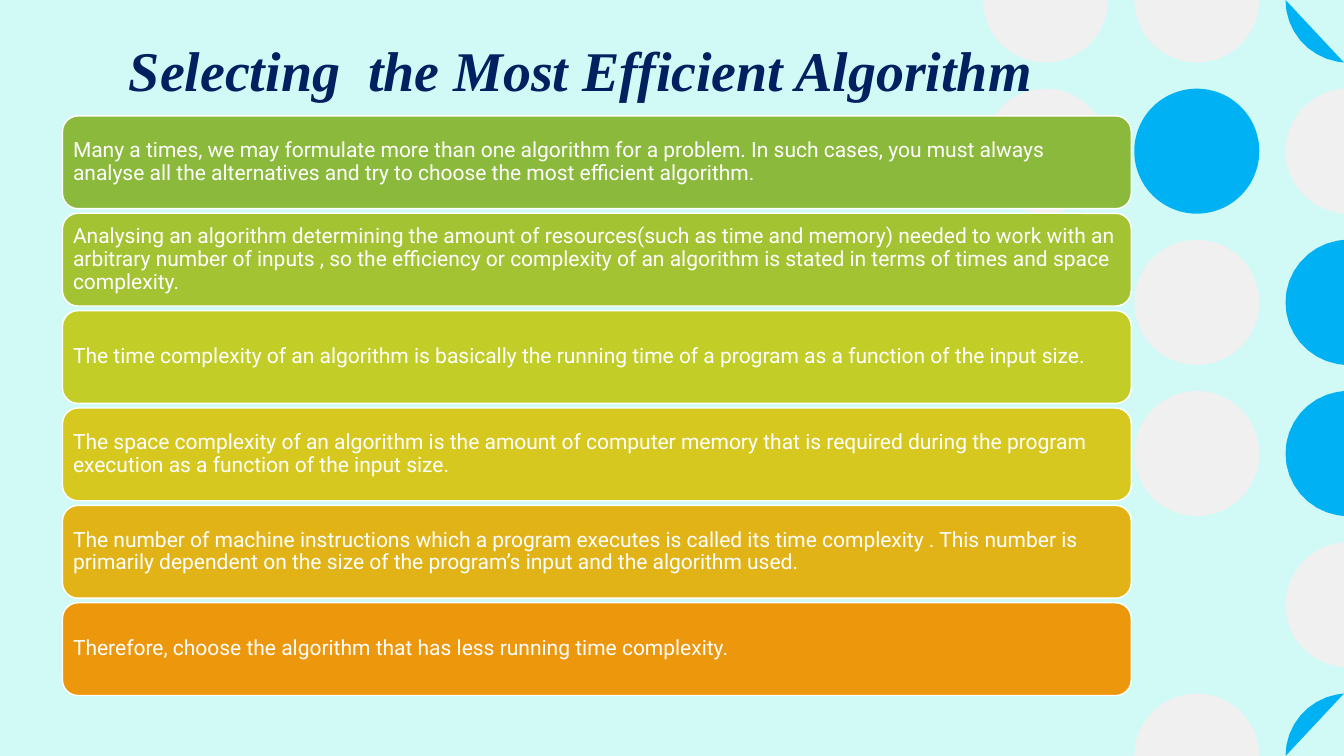
from math import cos, radians, sin

from pptx import Presentation
from pptx.dml.color import RGBColor
from pptx.enum import shapes, text
from pptx.util import Inches, Pt

WIDTH, HEIGHT = 13.33, 7.5
MINT = RGBColor(0xD1, 0xFA, 0xF6)
GREY = RGBColor(0xEF, 0xF0, 0xEF)
BLUE = RGBColor(0x00, 0xB2, 0xF3)
NAVY = RGBColor(0x00, 0x20, 0x60)
WHITE = RGBColor(0xFF, 0xFF, 0xFF)
GREEN = RGBColor(0x8B, 0xB9, 0x3B)
LIME = RGBColor(0xA4, 0xC3, 0x32)
PEAR = RGBColor(0xC2, 0xCD, 0x28)
GOLD = RGBColor(0xD7, 0xC8, 0x1F)
AMBER = RGBColor(0xE2, 0xB3, 0x16)
ORANGE = RGBColor(0xEC, 0x97, 0x0C)


def write(shape, words, font, size, color, inset, bold=False, italic=False):
    frame = shape.text_frame
    frame.word_wrap = True
    frame.vertical_anchor = text.MSO_ANCHOR.MIDDLE
    frame.margin_left = frame.margin_right = Inches(inset)
    frame.margin_top = frame.margin_bottom = Inches(inset)
    para = frame.paragraphs[0]
    para.alignment = text.PP_ALIGN.LEFT
    para.line_spacing = 0.9
    run = para.add_run()
    run.text = words
    run.font.name = font
    run.font.size = Pt(size)
    run.font.color.rgb = color
    run.font.bold = bold
    run.font.italic = italic


def add_dot(slide, x, y, r, color):
    """Draw a circle around (x, y), cut off at the slide's edges."""
    if r <= x <= WIDTH - r and r <= y <= HEIGHT - r:
        dot = slide.shapes.add_shape(
            shapes.MSO_SHAPE.OVAL, Inches(x - r), Inches(y - r),
            Inches(2 * r), Inches(2 * r))
    else:
        rim = []
        for deg in range(0, 360, 10):
            px = min(x + r * cos(radians(deg)), WIDTH)
            py = min(max(y + r * sin(radians(deg)), 0), HEIGHT)
            rim.append((Inches(round(px, 3)), Inches(round(py, 3))))
        # Along a straight cut only the two ends are needed
        bends = [b for a, b, c in zip(rim[-1:] + rim, rim, rim[1:] + rim[:1])
                 if not (a[0] == b[0] == c[0] or a[1] == b[1] == c[1])]
        path = slide.shapes.build_freeform(*bends[0])
        path.add_line_segments(bends[1:], close=True)
        dot = path.convert_to_shape()
    dot.shadow.inherit = False
    dot.fill.solid()
    dot.fill.fore_color.rgb = color
    dot.line.fill.background()


deck = Presentation()
deck.slide_width, deck.slide_height = Inches(WIDTH), Inches(HEIGHT)
slide = deck.slides.add_slide(deck.slide_layouts[6])
slide.background.fill.solid()
slide.background.fill.fore_color.rgb = MINT

# Dot columns from left to right, rows from the top; None leaves a gap
columns = [
    [GREY, GREY],
    [GREY, BLUE, GREY, GREY, None, GREY],
    [BLUE, GREY, BLUE, BLUE, GREY, BLUE],
]
step = 1.5
for col, dots in enumerate(columns):
    for row, color in enumerate(dots):
        if color is not None:
            add_dot(slide, 10.37 + col * step, row * step, 0.62, color)

title = slide.shapes.add_textbox(
    Inches(1.18), Inches(0.25), Inches(9.79), Inches(0.95))
write(title, "Selecting  the Most Efficient Algorithm", "Times New Roman", 40,
      NAVY, 0.1, bold=True, italic=True)

points = [
    (GREEN, "Many a times, we may formulate more than one algorithm for a "
     "problem. In such cases, you must always analyse all the alternatives "
     "and try to choose the most efficient algorithm."),
    (LIME, "Analysing an algorithm determining the amount of resources(such "
     "as time and memory) needed to work with an arbitrary number of inputs "
     ", so the efficiency or complexity of an algorithm is stated in terms "
     "of times and space complexity."),
    (PEAR, "The time complexity of an algorithm is basically the running "
     "time of a program as a function of the input size."),
    (GOLD, "The space complexity of an algorithm is the amount of computer "
     "memory that is required during the program execution as a function of "
     "the input size."),
    (AMBER, "The number of machine instructions which a program executes is "
     "called its time complexity . This number is primarily dependent on the "
     "size of the program’s input and the algorithm used."),
    (ORANGE, "Therefore, choose the algorithm that has less running time "
     "complexity."),
]
top, last = 1.15, 5.98
pitch = (last - top) / (len(points) - 1)
for i, (color, words) in enumerate(points):
    bar = slide.shapes.add_shape(
        shapes.MSO_SHAPE.ROUNDED_RECTANGLE, Inches(0.62),
        Inches(top + i * pitch), Inches(10.6), Inches(0.92))
    bar.shadow.inherit = False
    bar.fill.solid()
    bar.fill.fore_color.rgb = color
    bar.line.color.rgb = WHITE
    bar.line.width = Pt(1)
    write(bar, words, "Roboto", 15, WHITE, 0.06)

deck.save("out.pptx")
